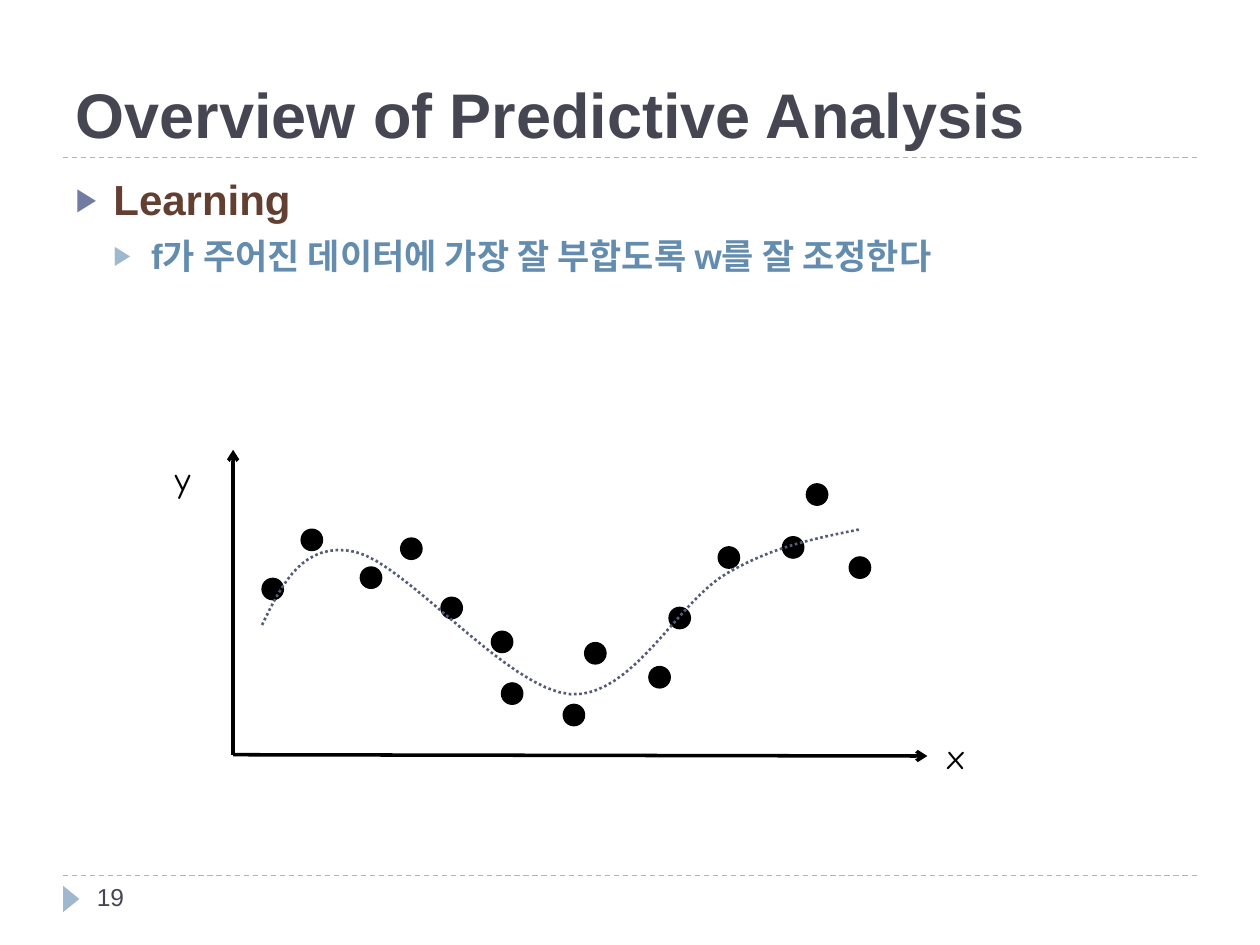
from pptx import Presentation
from pptx.util import Inches, Pt
from pptx.dml.color import RGBColor as RGB
from pptx.enum.dml import MSO_LINE as DASH
from pptx.enum.shapes import MSO_SHAPE as SHAPE, MSO_CONNECTOR as CONN
from pptx.enum.text import PP_ALIGN as ALIGN, MSO_ANCHOR as ANCHOR
from pptx.oxml.ns import qn
from lxml.etree import SubElement

C = {"title": "464653", "topic": "633F32", "detail": "638CAE", "rule": "9FB8CD",
     "bullet": "727CA3", "curve": "545C79", "ink": "000000"}

prs = Presentation()
prs.slide_width, prs.slide_height = Inches(10), Inches(7.5)
col, row = prs.slide_width / 100, prs.slide_height / 75
s = prs.slides.add_slide(prs.slide_layouts[1])


def grid(x, y, w, h):
    return [round(v) for v in (x * col, y * row, w * col, h * row)]


def add_run(p, text, size, color, bold=False, font="Arial"):
    r = p.add_run()
    r.text = text
    r.font.size, r.font.bold, r.font.name = Pt(size), bold, font
    r.font.color.rgb = RGB.from_string(C[color])


title, body = s.placeholders
title.left, title.top, title.width, title.height = grid(5, 1.7, 90, 10.8)
title.text_frame.vertical_anchor = ANCHOR.BOTTOM
p = title.text_frame.paragraphs[0]
p.alignment = ALIGN.LEFT
add_run(p, "Overview of Predictive Analysis", 36, "title", True)

body.left, body.top, body.width, body.height = grid(5, 13.3, 90, 54)
tf = body.text_frame
items = [("Learning", 24, "topic", "bullet", 0),
         ("f가 주어진 데이터에 가장 잘 부합도록 w를 잘 조정한다", 20, "detail", "rule", 6)]
for level, (text, size, color, bullet, before) in enumerate(items):
    p = tf.add_paragraph() if level else tf.paragraphs[0]
    p.level = level
    p.space_before = Pt(before)
    pPr = p._p.get_or_add_pPr()
    pPr.set("marL", str(round(3 * (level + 1) * col)))
    pPr.set("indent", str(round(-3 * col)))
    SubElement(SubElement(pPr, qn("a:buClr")), qn("a:srgbClr"), val=C[bullet])
    SubElement(pPr, qn("a:buSzPct"), val="76000")
    SubElement(pPr, qn("a:buFont"), typeface="Arial")
    SubElement(pPr, qn("a:buChar"), char="▶")
    add_run(p, text, size, color, True)

lines = [(5, 12.5, 95, 12.5, "rule", 0.75), (5, 69.5, 95, 69.5, "rule", 0.75),
         (18.5, 59.9, 73.6, 60, "ink", 2), (18.5, 59.9, 18.5, 35.7, "ink", 2)]
for x1, y1, x2, y2, color, width in lines:
    sp = s.shapes.add_connector(CONN.STRAIGHT, *grid(x1, y1, x2, y2))
    sp.line.color.rgb = RGB.from_string(C[color])
    sp.line.width = Pt(width)
    if color == "rule":
        sp.line.dash_style = DASH.DASH
    else:
        SubElement(sp.line._get_or_add_ln(), qn("a:tailEnd"), type="arrow")
    SubElement(sp._element.spPr, qn("a:effectLst"))

dots = [(46.4, 51), (53.1, 48.2), (51.5, 52.9), (67.4, 44.2), (62.1, 42.6),
        (57, 43.4), (64, 38.4), (39, 50.1), (39.8, 54.2), (44.7, 55.9),
        (35, 47.4), (20.8, 45.9), (23.9, 42), (31.8, 42.7), (28.6, 45)]
marks = [(SHAPE.OVAL, x, y, 1.7, 1.7, "ink", 0) for x, y in dots]
marks.append((SHAPE.ISOSCELES_TRIANGLE, 4.6, 70.7, 2.1, 1.3, "rule", 90))
for kind, x, y, w, h, color, turn in marks:
    sp = s.shapes.add_shape(kind, *grid(x, y, w, h))
    sp.shadow.inherit = False
    sp.rotation = turn
    sp.fill.solid()
    sp.fill.fore_color.rgb = RGB.from_string(C[color])
    if turn:
        sp.line.fill.background()
    else:
        sp.line.color.rgb = RGB.from_string(C[color])
        sp.line.width = Pt(0.75)

knots = [(20.8, 49.6), (22.4, 46.3), (24.1, 42.9), (28.2, 43.8), (32.2, 44.7),
         (40.4, 54.8), (45.3, 55.1), (50.2, 55.4), (53.8, 47.7), (57.7, 45.5),
         (61.5, 43.3), (64.9, 42.7), (68.3, 42)]
steps = 16
points = []
for i in range(0, len(knots) - 1, 3):
    for n in range(1, steps + 1):
        t = n / steps
        weights = [(1 - t) ** 3, 3 * t * (1 - t) ** 2, 3 * t * t * (1 - t), t ** 3]
        points.append([sum(k * v for k, v in zip(weights, axis))
                       for axis in zip(*knots[i:i + 4])])
start, *path = [(round(x * col), round(y * row)) for x, y in [knots[0], *points]]
fb = s.shapes.build_freeform(*start)
fb.add_line_segments(path, close=False)
sp = fb.convert_to_shape()
sp.shadow.inherit = False
sp.fill.background()
sp.line.color.rgb = RGB.from_string(C["curve"])
sp.line.width = Pt(1.5)
sp.line.dash_style = DASH.ROUND_DOT

labels = [("x", 74.2, 57.8, 3.7, 4.4, 20, "ink", "Comic Neue"),
          ("y", 12.9, 35.8, 3.5, 4.4, 20, "ink", "Comic Neue"),
          ("19", 6.7, 69.5, 21.7, 4, 14, "title", "Arial")]
for text, x, y, w, h, size, color, font in labels:
    tf = s.shapes.add_textbox(*grid(x, y, w, h)).text_frame
    tf.word_wrap = text == "19"
    add_run(tf.paragraphs[0], text, size, color, font=font)

prs.save("out.pptx")
